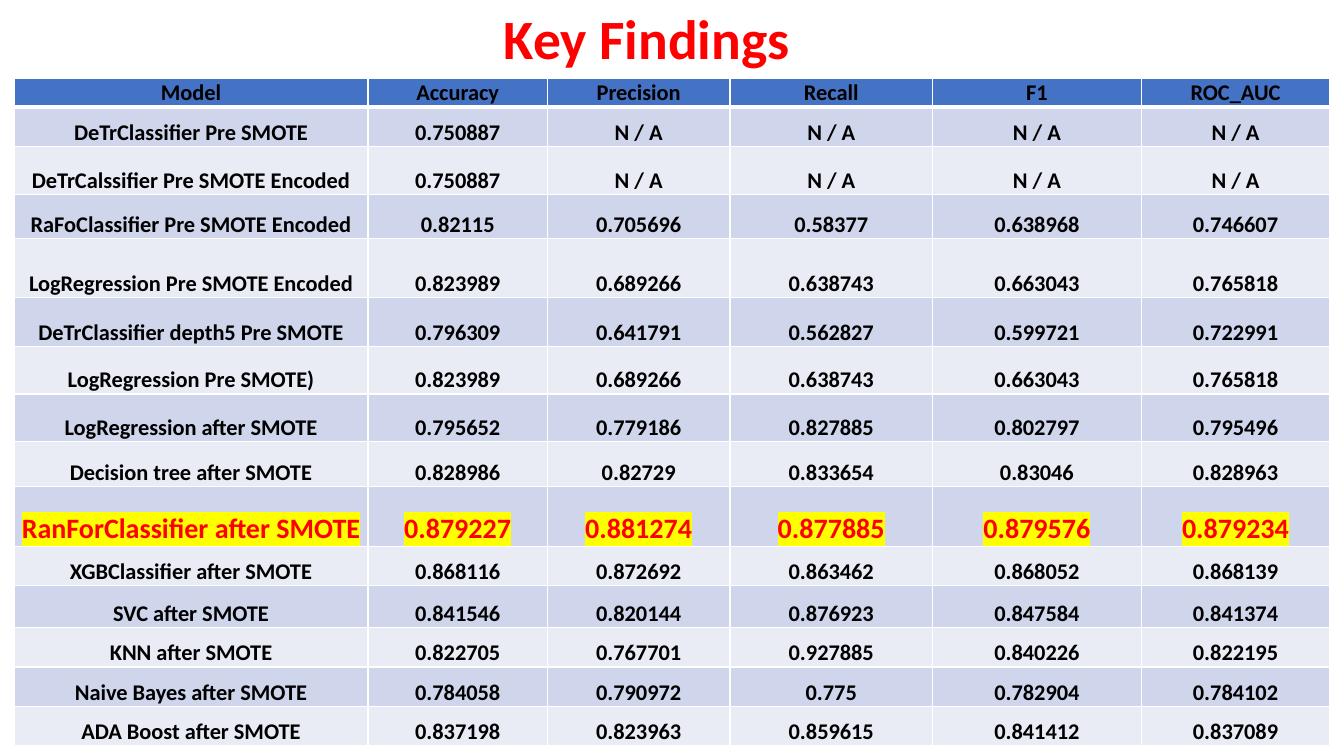
from pptx import Presentation
from pptx.dml.color import RGBColor
from pptx.enum.text import MSO_ANCHOR as Anchor, PP_ALIGN as Align
from pptx.oxml.ns import qn
from pptx.util import Inches, Pt
from lxml.etree import SubElement

RED = RGBColor(0xFF, 0x00, 0x00)
BLACK = RGBColor(0x00, 0x00, 0x00)
WHITE = RGBColor(0xFF, 0xFF, 0xFF)
YELLOW = RGBColor(0xFF, 0xFF, 0x00)
HEADER_BLUE = RGBColor(0x44, 0x72, 0xC4)
BANDS = (RGBColor(0xCF, 0xD5, 0xEA), RGBColor(0xE9, 0xEB, 0xF5))

HEADINGS = ("Model", "Accuracy", "Precision", "Recall", "F1", "ROC_AUC")
COLUMN_WIDTHS = (3.51, 1.78, 1.81, 2.01, 2.07, 1.87)
HEADER_HEIGHT = 0.28
BEST_MODEL = "RanForClassifier after SMOTE"
# Row height, model, then one score for each metric
RESULTS = (
    (0.39, "DeTrClassifier Pre SMOTE", "0.750887", *["N / A"] * 4),
    (0.48, "DeTrCalssifier Pre SMOTE Encoded", "0.750887", *["N / A"] * 4),
    (0.44, "RaFoClassifier Pre SMOTE Encoded",
     "0.82115", "0.705696", "0.58377", "0.638968", "0.746607"),
    (0.58, "LogRegression Pre SMOTE Encoded",
     "0.823989", "0.689266", "0.638743", "0.663043", "0.765818"),
    (0.49, "DeTrClassifier depth5 Pre SMOTE",
     "0.796309", "0.641791", "0.562827", "0.599721", "0.722991"),
    (0.47, "LogRegression Pre SMOTE)",
     "0.823989", "0.689266", "0.638743", "0.663043", "0.765818"),
    (0.47, "LogRegression after SMOTE",
     "0.795652", "0.779186", "0.827885", "0.802797", "0.795496"),
    (0.45, "Decision tree after SMOTE",
     "0.828986", "0.82729", "0.833654", "0.83046", "0.828963"),
    (0.59, BEST_MODEL,
     "0.879227", "0.881274", "0.877885", "0.879576", "0.879234"),
    (0.39, "XGBClassifier after SMOTE",
     "0.868116", "0.872692", "0.863462", "0.868052", "0.868139"),
    (0.42, "SVC after SMOTE",
     "0.841546", "0.820144", "0.876923", "0.847584", "0.841374"),
    (0.39, "KNN after SMOTE",
     "0.822705", "0.767701", "0.927885", "0.840226", "0.822195"),
    (0.39, "Naive Bayes after SMOTE",
     "0.784058", "0.790972", "0.775", "0.782904", "0.784102"),
    (0.39, "ADA Boost after SMOTE",
     "0.837198", "0.823963", "0.859615", "0.841412", "0.837089"),
)


def add_color(parent, color):
    """Append an RGB colour element to an XML parent."""
    SubElement(parent, qn("a:srgbClr"), val=str(color))


def set_borders(cell, **widths):
    """Draw white borders, with widths in points keyed by side."""
    properties = cell._tc.get_or_add_tcPr()
    for side, width in widths.items():
        line = SubElement(properties, qn(f"a:ln{side}"), w=str(Pt(width)))
        add_color(SubElement(line, qn("a:solidFill")), WHITE)


class SlideBuilder:
    """Holds the text style and the current slide."""

    font_name = "Calibri"

    def __init__(self, slide):
        """Keep the slide that receives the elements."""
        self.slide = slide

    def add_text(self, paragraph, text, size, color, highlight=None):
        """Add centred bold text, highlighted on request."""
        run = paragraph.add_run()
        run.text = text
        paragraph.alignment = Align.CENTER
        font = paragraph.font
        font.name, font.size, font.bold = self.font_name, Pt(size), True
        font.color.rgb = color
        if highlight is not None:
            properties = run._r.get_or_add_rPr()
            add_color(SubElement(properties, qn("a:highlight")), highlight)

    def title(self, text, left, top, width, height):
        """Add the slide title."""
        box = self.slide.shapes.add_textbox(
            Inches(left), Inches(top), Inches(width), Inches(height))
        frame = box.text_frame
        frame.word_wrap = True
        frame.vertical_anchor = Anchor.MIDDLE
        paragraph = frame.paragraphs[0]
        paragraph.line_spacing = 0.9
        self.add_text(paragraph, text, 39.6, RED)

    def cell(self, cell, text, fill, bottom=1, **style):
        """Fill one table cell with bottom-aligned text."""
        cell.margin_left = cell.margin_right = cell.margin_top = Inches(0.01)
        cell.margin_bottom = 0
        cell.vertical_anchor = Anchor.BOTTOM
        set_borders(cell, L=1, R=1, T=1, B=bottom)
        cell.fill.solid()
        cell.fill.fore_color.rgb = fill
        self.add_text(cell.text_frame.paragraphs[0], text, **style)

    def results_table(self, left, top):
        """Add the model scores, with the best model highlighted."""
        rows = ((HEADER_HEIGHT, *HEADINGS), *RESULTS)
        table = self.slide.shapes.add_table(
            len(rows), len(HEADINGS), Inches(left), Inches(top),
            Inches(sum(COLUMN_WIDTHS)), Inches(sum(row[0] for row in rows))).table
        for column, width in zip(table.columns, COLUMN_WIDTHS):
            column.width = Inches(width)
        plain = dict(size=16, color=BLACK)
        best = dict(size=20, color=RED, highlight=YELLOW)
        for index, (height, *texts) in enumerate(rows):
            table.rows[index].height = Inches(height)
            style = best if texts[0] == BEST_MODEL else plain
            fill = BANDS[(index - 1) % 2] if index else HEADER_BLUE
            for cell, text in zip(table.rows[index].cells, texts):
                self.cell(cell, text, fill, bottom=1 if index else 3, **style)


def main():
    """Build and save the presentation."""
    presentation = Presentation()
    presentation.slide_width = Inches(13.33)
    presentation.slide_height = Inches(7.5)
    blank_layout = presentation.slide_layouts[6]
    builder = SlideBuilder(presentation.slides.add_slide(blank_layout))
    builder.title("Key Findings", 4.29, 0.13, 4.25, 0.56)
    builder.results_table(0.14, 0.78)
    presentation.save("out.pptx")


main()
